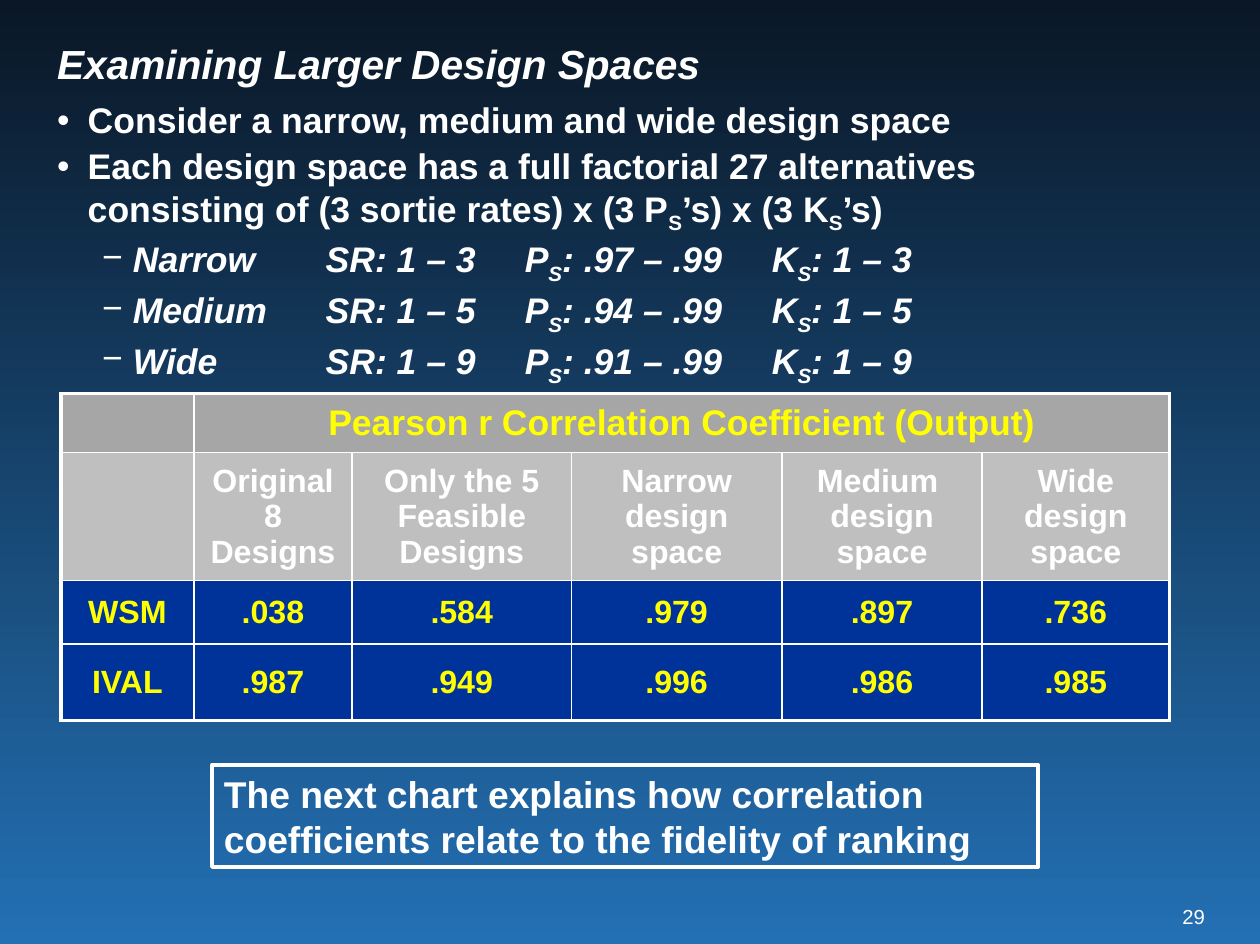
from lxml.etree import SubElement
from pptx import Presentation
from pptx.dml.color import RGBColor
from pptx.enum.shapes import MSO_SHAPE
from pptx.enum.text import MSO_ANCHOR, PP_ALIGN
from pptx.oxml.ns import qn
from pptx.util import Cm, Inches, Pt

WHITE, YELLOW = "FFFFFF", "FFFF00"
BACKGROUND = ["0A1726", "2370B4"]

TITLE = "Examining Larger Design Spaces"
# "_S" marks a subscript S
POINTS = [
    "Consider a narrow, medium and wide design space",
    "Each design space has a full factorial 27 alternatives "
    "consisting of (3 sortie rates) x (3 P_S’s) x (3 K_S’s)",
]
SPACES = [
    ("Narrow", "SR: 1 – 3", "P_S: .97 – .99", "K_S: 1 – 3"),
    ("Medium", "SR: 1 – 5", "P_S: .94 – .99", "K_S: 1 – 5"),
    ("Wide", "SR: 1 – 9", "P_S: .91 – .99", "K_S: 1 – 9"),
]
SPACE_TABS = [5.6, 9.75, 14.9]
CORRELATIONS = [
    ("", "Pearson r Correlation Coefficient (Output)", "", "", "", ""),
    ("", "Original 8 Designs", "Only the 5 Feasible Designs",
     "Narrow design space", "Medium  design space", "Wide design space"),
    ("WSM", ".038", ".584", ".979", ".897", ".736"),
    ("IVAL", ".987", ".949", ".996", ".986", ".985"),
]
COLUMN_WIDTHS = [2.77, 3.3, 4.57, 4.39, 4.17, 3.91]
# height, fill, text colour, text size
ROW_FORMATS = [
    (1.24, "A6A6A6", YELLOW, 21),
    (2.21, "BFBFBF", WHITE, 19),
    (1.32, "003399", YELLOW, 19),
    (1.6, "003399", YELLOW, 19),
]
CONCLUSION = ("The next chart explains how correlation coefficients "
              "relate to the fidelity of ranking")
PAGE = "29"


def rgb(color):
    return RGBColor.from_string(color)


def set_font(font, color, **font_values):
    font.color.rgb = rgb(color)
    for name, value in {"name": "Arial", "bold": True, **font_values}.items():
        setattr(font, name, value)


def write(paragraph, text, color=WHITE, **font_values):
    """Fill the paragraph, lowering every S that follows an underscore."""
    set_font(paragraph.font, color, **font_values)
    for index, piece in enumerate(text.split("_S")):
        for words, lowered in ((("S", True),) if index else ()) + ((piece, False),):
            run = paragraph.add_run()
            run.text = words
            set_font(run.font, color, **font_values)
            if lowered:
                run.font._element.set("baseline", "-25000")


def add_text_box(slide, *place, **frame_values):
    frame = slide.shapes.add_textbox(*map(Cm, place)).text_frame
    for name, value in {"word_wrap": True, **frame_values}.items():
        setattr(frame, name, value)
    return frame


def add_bullet(paragraph, symbol, indent, tabs=()):
    properties = paragraph._p.get_or_add_pPr()
    properties.set("marL", str(Cm(indent)))
    properties.set("indent", str(-Cm(0.64)))
    SubElement(properties, qn("a:buFont"), typeface="Arial")
    SubElement(properties, qn("a:buChar"), char=symbol)
    if tabs:
        tab_list = SubElement(properties, qn("a:tabLst"))
        for tab in tabs:
            SubElement(tab_list, qn("a:tab"), pos=str(Cm(tab)), algn="l")


def set_borders(cell, **widths):
    for side, width in widths.items():
        line = SubElement(cell._tc.get_or_add_tcPr(), qn(f"a:ln{side}"), w=str(Pt(width)))
        fill = SubElement(line, qn("a:solidFill"))
        SubElement(fill, qn("a:srgbClr"), val=WHITE)


def add_body(slide):
    frame = add_text_box(slide, 0.94, 2.03, 22.78, 6.15)
    lines = [(point, "•", 0.64, (), False) for point in POINTS]
    lines += [("\t".join(space), "−", 1.58, SPACE_TABS, True) for space in SPACES]
    for index, (text, symbol, indent, tabs, italic) in enumerate(lines):
        paragraph = frame.add_paragraph() if index else frame.paragraphs[0]
        add_bullet(paragraph, symbol, indent, tabs)
        paragraph.line_spacing = 0.9
        paragraph.space_before = Pt(4.2 if index else 0)
        write(paragraph, text, size=Pt(21), italic=italic)


def add_correlations(slide):
    rows, columns = len(ROW_FORMATS), len(COLUMN_WIDTHS)
    height = sum(row_format[0] for row_format in ROW_FORMATS)
    table = slide.shapes.add_table(
        rows, columns, Cm(1.27), Cm(8.2), Cm(sum(COLUMN_WIDTHS)), Cm(height)).table
    table.first_row = table.horz_banding = False
    for column, width in zip(table.columns, COLUMN_WIDTHS):
        column.width = Cm(width)
    table.cell(0, 1).merge(table.cell(0, columns - 1))

    for r, (row_height, fill, color, size) in enumerate(ROW_FORMATS):
        table.rows[r].height = Cm(row_height)
        for c, text in enumerate(CORRELATIONS[r]):
            cell = table.cell(r, c)
            outer = {"L": c == 0, "R": c + cell.span_width == columns,
                     "T": r == 0, "B": r == rows - 1}
            set_borders(cell, **{side: 2.25 if edge else 1 for side, edge in outer.items()})
            cell.fill.solid()
            cell.fill.fore_color.rgb = rgb(fill)
            cell.vertical_anchor = MSO_ANCHOR.MIDDLE
            if text:
                paragraph = cell.text_frame.paragraphs[0]
                paragraph.alignment = PP_ALIGN.CENTER
                write(paragraph, text, color, size=Pt(size))


def add_conclusion(slide):
    box = slide.shapes.add_shape(
        MSO_SHAPE.RECTANGLE, Cm(4.42), Cm(15.95), Cm(17.22), Cm(2.13))
    box.shadow.inherit = False
    box.fill.background()
    box.line.color.rgb = rgb(WHITE)
    box.line.width = Pt(2.25)
    paragraph = box.text_frame.paragraphs[0]
    paragraph.alignment = PP_ALIGN.LEFT
    write(paragraph, CONCLUSION, size=Pt(22))


def main():
    deck = Presentation()
    deck.slide_width, deck.slide_height = Inches(10.34), Inches(7.75)
    slide = deck.slides.add_slide(deck.slide_layouts[6])

    backdrop = slide.background.fill
    backdrop.gradient()
    backdrop.gradient_angle = 270
    for stop, color in zip(backdrop.gradient_stops, BACKGROUND):
        stop.color.rgb = rgb(color)

    title = add_text_box(slide, 0.94, 0, 21.51, 2.74,
                         vertical_anchor=MSO_ANCHOR.MIDDLE).paragraphs[0]
    title.line_spacing = Pt(26)
    write(title, TITLE, size=Pt(24), italic=True)

    add_body(slide)
    add_correlations(slide)
    add_conclusion(slide)

    page = add_text_box(slide, 24.61, 18.85, 0.51, 0.51, word_wrap=False, margin_left=0,
                        margin_top=0, margin_right=0, margin_bottom=0).paragraphs[0]
    page.alignment = PP_ALIGN.RIGHT
    write(page, PAGE, size=Pt(12), bold=False)

    deck.save("out.pptx")


if __name__ == "__main__":
    main()
